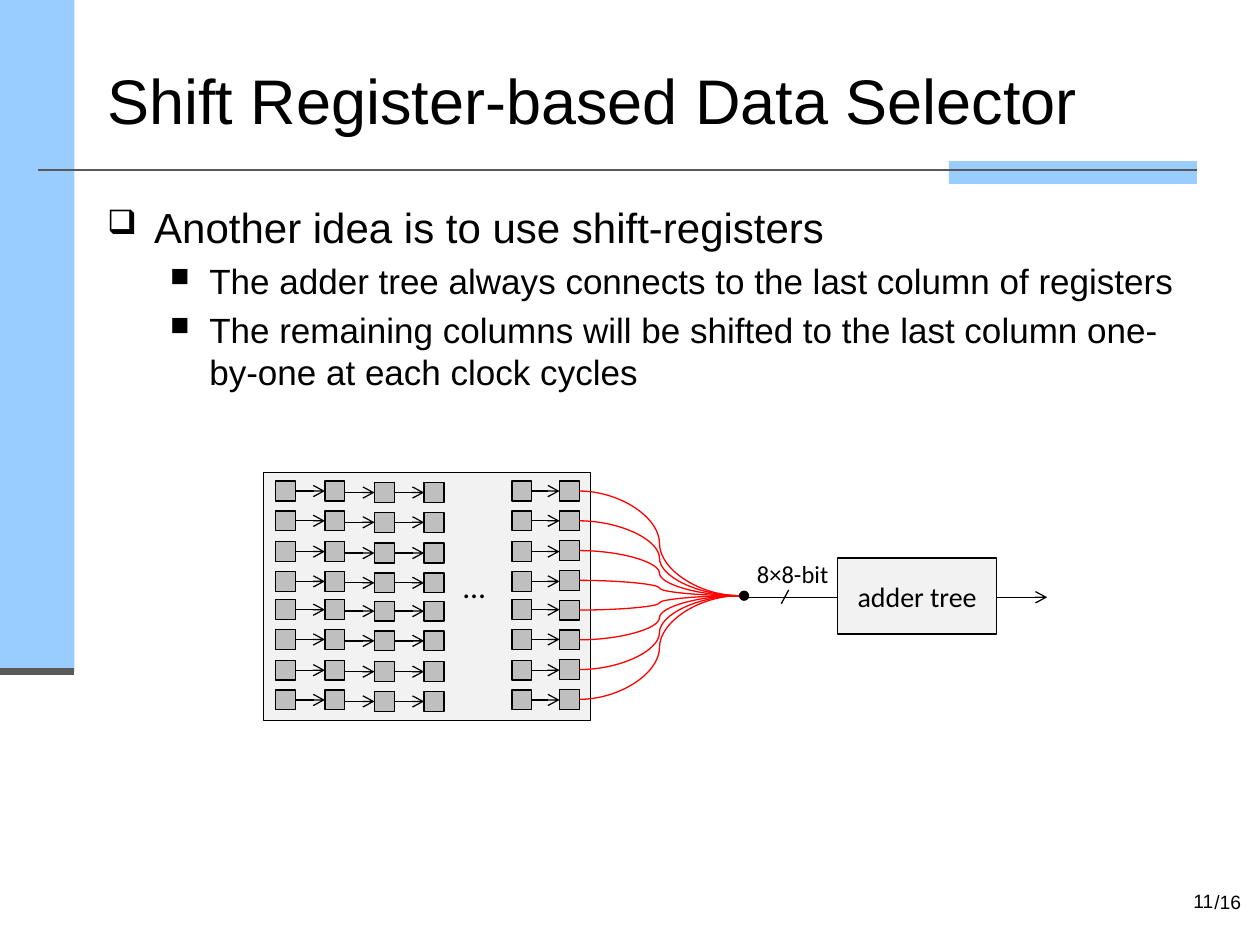
"""Build a slide that explains a shift register-based data selector."""
from dataclasses import dataclass

from lxml import etree
from pptx import Presentation
from pptx.dml.color import RGBColor
from pptx.enum.shapes import MSO_CONNECTOR, MSO_SHAPE
from pptx.enum.text import MSO_ANCHOR, MSO_AUTO_SIZE, PP_ALIGN
from pptx.oxml.ns import qn
from pptx.shapes.autoshape import Shape
from pptx.slide import Slide
from pptx.text.text import TextFrame
from pptx.util import Cm, Pt

RECTANGLE, OVAL = MSO_SHAPE.RECTANGLE, MSO_SHAPE.OVAL
STRAIGHT, CURVE = MSO_CONNECTOR.STRAIGHT, MSO_CONNECTOR.CURVE
TOP, MIDDLE = MSO_ANCHOR.TOP, MSO_ANCHOR.MIDDLE
LEFT, CENTER, RIGHT = PP_ALIGN.LEFT, PP_ALIGN.CENTER, PP_ALIGN.RIGHT
FIT_SHAPE = MSO_AUTO_SIZE.SHAPE_TO_FIT_TEXT

BLACK = RGBColor(0x00, 0x00, 0x00)
RED = RGBColor(0xFF, 0x00, 0x00)
SKY = RGBColor(0x99, 0xCC, 0xFF)
SLATE = RGBColor(0x59, 0x59, 0x59)
PALE = RGBColor(0xF2, 0xF2, 0xF2)
SILVER = RGBColor(0xBF, 0xBF, 0xBF)

REGISTER_SIZE = 0.4
ROW_COUNT = 8
FIRST_ROW_TOP = 9.7
EVEN_PITCH = 0.6
GROUP_PITCH = 2.39
GROUP_OFFSETS = (0, 0.6, 1.22, 1.82)
JOIN_X, JOIN_Y = 14.91, 12.01
WIRE_Y = 12.04


@dataclass(frozen=True)
class RegisterColumn:
    """A column of registers, its downward shift and where its arrows end."""

    left: float
    drop: float = 0
    next_left: float | None = None
    even: bool = False

    def top(self, row: int) -> float:
        """Return the top of the register in a row."""
        if self.even:
            return FIRST_ROW_TOP + row * EVEN_PITCH
        group, place = divmod(row, len(GROUP_OFFSETS))
        return FIRST_ROW_TOP + self.drop + group * GROUP_PITCH + GROUP_OFFSETS[place]


@dataclass(frozen=True)
class Bullet:
    """A line of the body with its marker and indents."""

    text: str
    size: int
    marker: str
    marker_percent: int
    margin: float
    hanging: float


COLUMNS = (
    RegisterColumn(5.56, next_left=6.55),
    RegisterColumn(6.55, next_left=7.55, drop=0.03),
    RegisterColumn(7.55, next_left=8.55, drop=0.03),
    RegisterColumn(8.55, drop=0.03),
    RegisterColumn(10.32, next_left=11.28),
    RegisterColumn(11.28, even=True),
)
SECOND_COLUMN = RegisterColumn(6.55)

BULLETS = (
    Bullet("Another idea is to use shift-registers", 24, "❑", 80, 0.95, 0.95),
    Bullet("The adder tree always connects to the last column of registers",
           20, "■", 75, 2.06, 0.79),
    Bullet("The remaining columns will be shifted to the last column "
           "one-by-one at each clock cycles", 20, "■", 75, 2.06, 0.79),
)


def write(frame: TextFrame, text: str, *, size: int, font: str = "Arial",
          align: PP_ALIGN = LEFT, anchor: MSO_ANCHOR = TOP,
          wrap: bool = True) -> None:
    """Put one formatted paragraph in a text frame."""
    frame.word_wrap = wrap
    frame.vertical_anchor = anchor
    if not wrap:
        frame.auto_size = FIT_SHAPE
    paragraph = frame.paragraphs[0]
    paragraph.alignment = align
    run = paragraph.add_run()
    run.text = text
    run.font.size = Pt(size)
    run.font.name = font
    run.font.color.rgb = BLACK


def add_label(slide: Slide, left: float, top: float, width: float, height: float,
              text: str, **text_format) -> None:
    """Add a text box with one paragraph."""
    box = slide.shapes.add_textbox(Cm(left), Cm(top), Cm(width), Cm(height))
    write(box.text_frame, text, **text_format)


def add_block(slide: Slide, left: float, top: float, width: float, height: float,
              fill: RGBColor, *, kind: MSO_SHAPE = RECTANGLE,
              outlined: bool = True) -> Shape:
    """Add a filled shape, with a thin black outline unless told otherwise."""
    block = slide.shapes.add_shape(kind, Cm(left), Cm(top), Cm(width), Cm(height))
    block.shadow.inherit = False
    block.fill.solid()
    block.fill.fore_color.rgb = fill
    if outlined:
        block.line.color.rgb = BLACK
        block.line.width = Pt(0.75)
    else:
        block.line.fill.background()
    return block


def add_line(slide: Slide, start: tuple[float, float], end: tuple[float, float], *,
             color: RGBColor = BLACK, width: float = 0.75,
             kind: MSO_CONNECTOR = STRAIGHT, arrow: bool = False) -> None:
    """Add a connector, with an open arrowhead at its end if asked."""
    line = slide.shapes.add_connector(kind, *(Cm(value) for value in start + end))
    line.line.color.rgb = color
    line.line.width = Pt(width)
    properties = line.element.spPr
    if arrow:
        outline = properties.find(qn("a:ln"))
        etree.SubElement(outline, qn("a:tailEnd"), type="arrow")
    etree.SubElement(properties, qn("a:effectLst"))


def add_bullets(slide: Slide, bullets: tuple[Bullet, ...]) -> None:
    """Add the body text."""
    body = slide.shapes.add_textbox(Cm(1.91), Cm(3.94), Cm(22.22), Cm(13.08))
    frame = body.text_frame
    frame.word_wrap = True
    for index, bullet in enumerate(bullets):
        paragraph = frame.add_paragraph() if index else frame.paragraphs[0]
        paragraph.text = bullet.text
        paragraph.level = 1 if index else 0
        paragraph.space_before = Pt(bullet.size * 0.2)
        paragraph.font.size = Pt(bullet.size)
        paragraph.font.name = "Arial"
        paragraph.font.color.rgb = BLACK
        properties = paragraph._p.get_or_add_pPr()
        properties.set("marL", str(Cm(bullet.margin)))
        properties.set("indent", str(-Cm(bullet.hanging)))
        size = etree.Element(qn("a:buSzPct"), val=str(bullet.marker_percent * 1000))
        marker = etree.Element(qn("a:buChar"), char=bullet.marker)
        spacing = properties.find(qn("a:spcBef"))
        spacing.addnext(size)
        size.addnext(marker)


def add_frame(slide: Slide) -> None:
    """Add the side band, the rules, the title and the page number."""
    add_block(slide, 19.13, 3.25, 5, 0.46, SKY, outlined=False)
    add_block(slide, 0, 0, 1.5, 13.54, SKY, outlined=False)
    add_line(slide, (0, 13.54), (1.5, 13.54), color=SLATE, width=4)
    add_line(slide, (0.76, 3.43), (24.13, 3.43), color=SLATE, width=1.5)
    title = slide.shapes.title
    title.left, title.top = Cm(1.91), Cm(0.76)
    title.width, title.height = Cm(22.22), Cm(2.49)
    write(title.text_frame, "Shift Register-based Data Selector", size=36, anchor=MIDDLE)
    add_label(slide, 24.23, 17.83, 1.07, 0.74, "/16", size=11, wrap=False)
    add_label(slide, 18.21, 17.65, 6.5, 1.02, "11", size=11, align=RIGHT, anchor=MIDDLE)


def add_registers(slide: Slide) -> None:
    """Add the register array, its shift arrows and the wires that leave it."""
    add_block(slide, 5.31, 9.52, 6.6, 5, PALE)
    for column in COLUMNS:
        squares = SECOND_COLUMN if column.left == SECOND_COLUMN.left else column
        for row in range(ROW_COUNT):
            add_block(slide, column.left, squares.top(row),
                      REGISTER_SIZE, REGISTER_SIZE, SILVER)
    for column in COLUMNS:
        right = column.left + REGISTER_SIZE
        for row in range(ROW_COUNT):
            middle = column.top(row) + REGISTER_SIZE / 2
            if column.next_left:
                add_line(slide, (right, middle), (column.next_left, middle), arrow=True)
            elif column.even:
                add_line(slide, (right, middle), (JOIN_X, JOIN_Y), color=RED, kind=CURVE)
    add_label(slide, 9.09, 11.3, 1.14, 1.02, "…", size=18, font="Calibri", wrap=False)


def add_adder_tree(slide: Slide) -> None:
    """Add the joined bus, the adder tree and its output."""
    add_block(slide, JOIN_X, 11.92, 0.18, 0.18, BLACK, kind=OVAL)
    adder = add_block(slide, 16.89, 11.25, 3.2, 1.53, PALE)
    write(adder.text_frame, "adder tree", size=16, font="Calibri",
          align=CENTER, anchor=MIDDLE)
    add_line(slide, (JOIN_X, WIRE_Y), (16.89, WIRE_Y))
    add_line(slide, (15.9, 11.89), (15.75, 12.17))
    add_label(slide, 15.01, 11.15, 1.98, 0.86, "8×8-bit", size=14, font="Calibri", wrap=False)
    add_line(slide, (20.09, WIRE_Y), (21.11, WIRE_Y), arrow=True)


presentation = Presentation()
presentation.slide_width, presentation.slide_height = Cm(25.4), Cm(19.05)
selector_slide = presentation.slides.add_slide(presentation.slide_layouts[5])
add_frame(selector_slide)
add_bullets(selector_slide, BULLETS)
add_registers(selector_slide)
add_adder_tree(selector_slide)
presentation.save("out.pptx")
